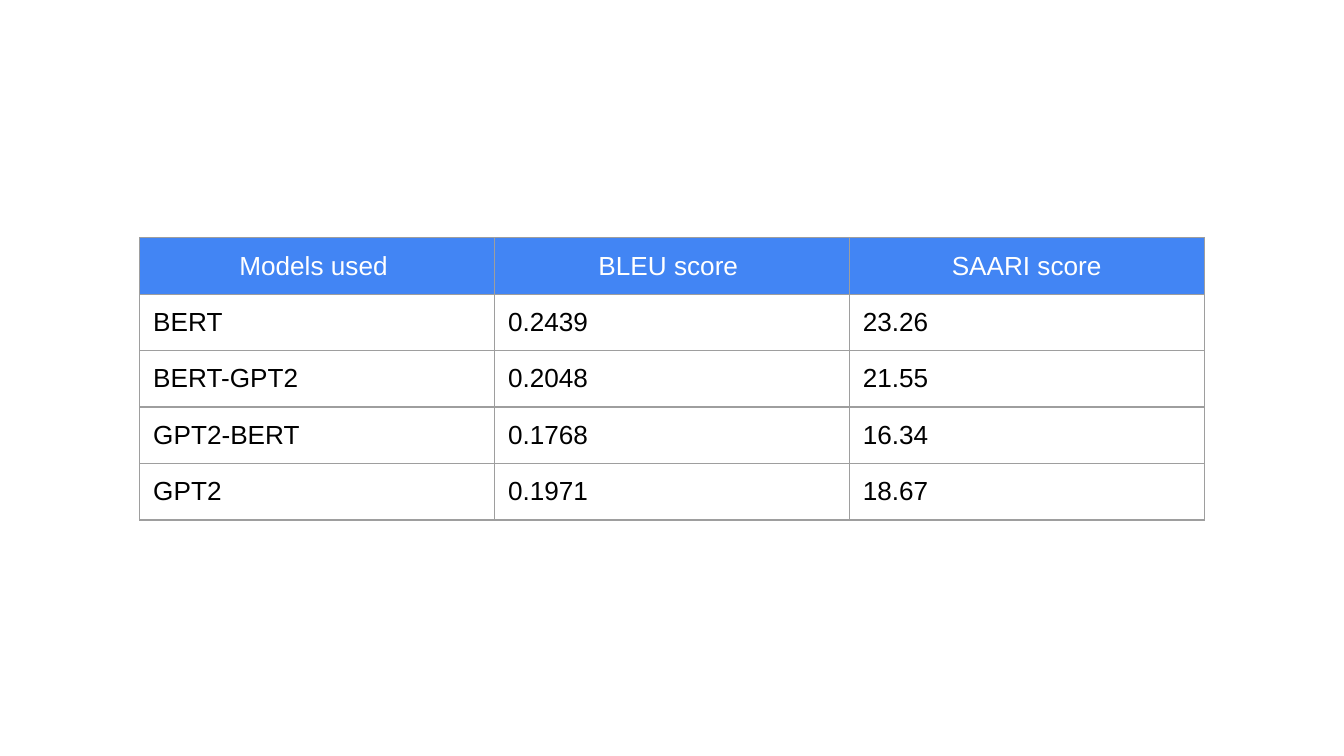
from lxml.etree import SubElement
from pptx import Presentation
from pptx.dml.color import RGBColor
from pptx.enum.text import PP_ALIGN
from pptx.oxml.ns import qn
from pptx.util import Inches, Pt

BLUE = RGBColor(0x42, 0x85, 0xF4)
GREY = RGBColor(0x9E, 0x9E, 0x9E)
WHITE = RGBColor(0xFF, 0xFF, 0xFF)
BLACK = RGBColor(0x00, 0x00, 0x00)

SLIDE_WIDTH = Inches(10)
SLIDE_HEIGHT = SLIDE_WIDTH * 9 // 16
COLUMN_WIDTH, ROW_HEIGHT = Inches(2.64), Inches(0.42)
CELL_MARGIN = Inches(0.1)

# The space after the first two headings shifts their centring slightly.
SCORES = [
    ("Models used ", "BLEU score ", "SAARI score"),
    ("BERT", "0.2439", "23.26"),
    ("BERT-GPT2", "0.2048", "21.55"),
    ("GPT2-BERT", "0.1768", "16.34"),
    ("GPT2", "0.1971", "18.67"),
]


def add_borders(cell):
    properties = cell._tc.get_or_add_tcPr()
    for side in ("a:lnL", "a:lnR", "a:lnT", "a:lnB"):
        line = SubElement(properties, qn(side), w=str(Pt(0.75)))
        fill = SubElement(line, qn("a:solidFill"))
        SubElement(fill, qn("a:srgbClr"), val=str(GREY))


presentation = Presentation()
presentation.slide_width = SLIDE_WIDTH
presentation.slide_height = SLIDE_HEIGHT
slide = presentation.slides.add_slide(presentation.slide_layouts[6])

row_count, column_count = len(SCORES), len(SCORES[0])
table = slide.shapes.add_table(
    row_count, column_count, Inches(1.04), Inches(1.77),
    column_count * COLUMN_WIDTH, row_count * ROW_HEIGHT,
).table
table.horz_banding = False
for column in table.columns:
    column.width = COLUMN_WIDTH
for row in table.rows:
    row.height = ROW_HEIGHT

for row_index, values in enumerate(SCORES):
    is_header = row_index == 0
    for column_index, value in enumerate(values):
        cell = table.cell(row_index, column_index)
        cell.margin_left = cell.margin_right = CELL_MARGIN
        cell.margin_top = cell.margin_bottom = CELL_MARGIN
        add_borders(cell)
        if is_header:
            cell.fill.solid()
            cell.fill.fore_color.rgb = BLUE
        else:
            cell.fill.background()
        paragraph = cell.text_frame.paragraphs[0]
        paragraph.text = value
        paragraph.alignment = PP_ALIGN.CENTER if is_header else PP_ALIGN.LEFT
        font = paragraph.runs[0].font
        font.name, font.size, font.bold = "Arial", Pt(14), False
        font.color.rgb = WHITE if is_header else BLACK

presentation.save("out.pptx")
